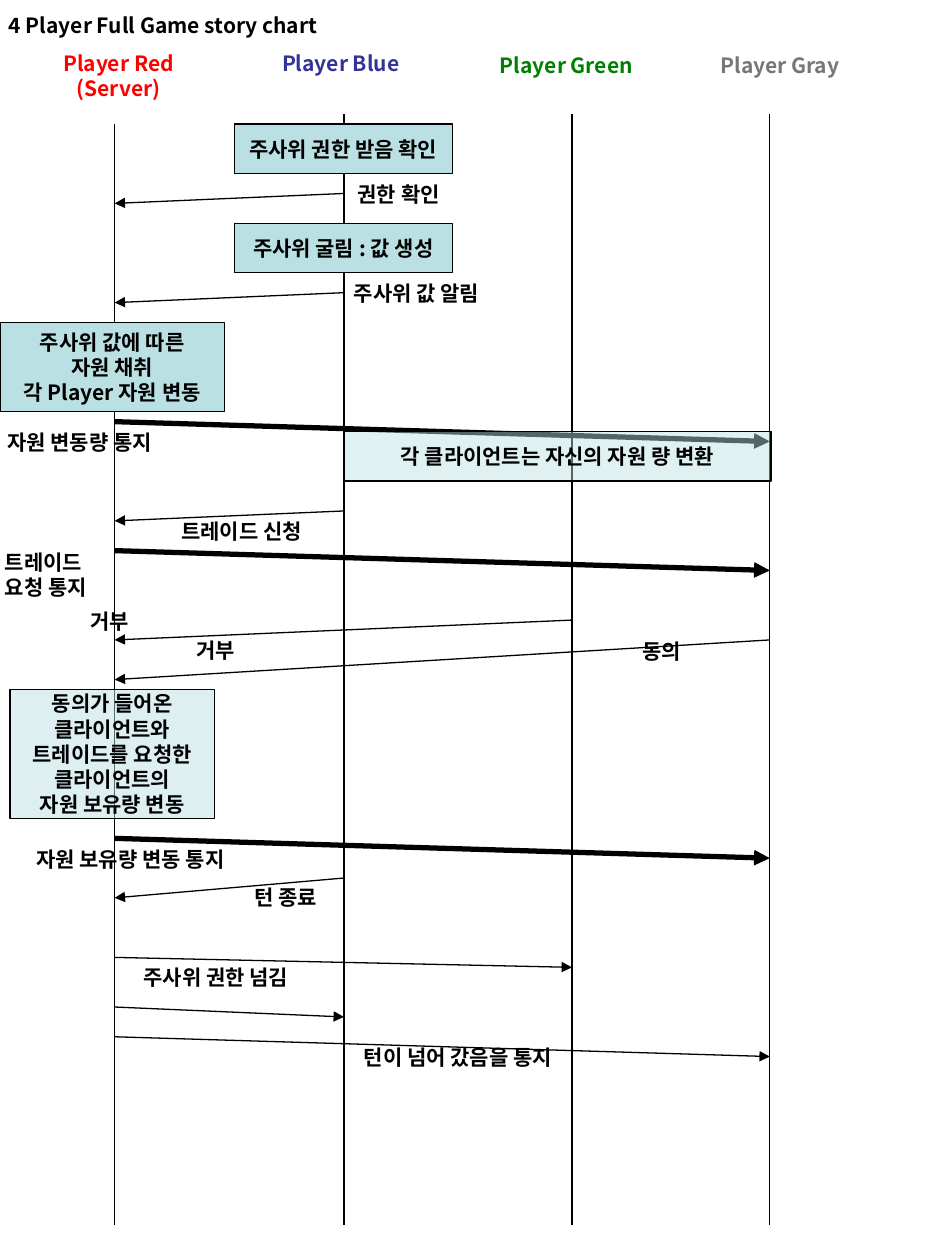
from lxml import etree
from pptx import Presentation
from pptx.dml.color import RGBColor
from pptx.enum.shapes import MSO_CONNECTOR, MSO_SHAPE
from pptx.enum.text import MSO_ANCHOR, MSO_AUTO_SIZE, PP_ALIGN
from pptx.oxml.ns import qn
from pptx.util import Inches, Pt

LEFT, CENTER = PP_ALIGN.LEFT, PP_ALIGN.CENTER
TOP, MIDDLE = MSO_ANCHOR.TOP, MSO_ANCHOR.MIDDLE
NO_FIT = MSO_AUTO_SIZE.NONE
STRAIGHT, RECT = MSO_CONNECTOR.STRAIGHT, MSO_SHAPE.RECTANGLE

COLORS = {"black": "000000", "red": "FF0000", "blue": "333399",
          "green": "008000", "gray": "777777", "box": "BBE0E3"}
FONT = "Noto Sans CJK KR"
WIDTH, HEIGHT = 7.5, 10
ROW = HEIGHT / 127
LINE_H = 0.2
THIN, THICK = 0.75, 3

TITLE = "4 Player Full Game story chart"
LANES = {"red": 0.91, "blue": 2.73, "green": 4.54, "gray": 6.11}
LIFELINE_START = {"red": 12, "blue": 11, "green": 11, "gray": 11}
LIFELINE_END = 123

# left, top, width, colour, align, lines
HEADERS = [
    (0.4, 0.35, 1.08, "red", CENTER, "Player Red\n(Server)"),
    (2.14, 0.35, 1.14, "blue", LEFT, "Player Blue"),
    (3.87, 0.37, 1.27, "green", LEFT, "Player Green"),
    (5.62, 0.37, 1.36, "gray", LEFT, "Player Gray"),
]

# sender, receiver, start row, end row, weight
MESSAGES = [
    ("blue", "red", 19, 20, THIN),
    ("blue", "red", 29, 30, THIN),
    ("red", "gray", 42, 44, THICK),
    ("blue", "red", 51, 52, THIN),
    ("red", "gray", 55, 57, THICK),
    ("green", "red", 62, 64, THIN),
    ("gray", "red", 64, 68, THIN),
    ("red", "gray", 84, 86, THICK),
    ("blue", "red", 88, 90, THIN),
    ("red", "green", 96, 97, THIN),
    ("red", "blue", 101, 102, THIN),
    ("red", "gray", 104, 106, THIN),
]

# left, width, top row, bottom row, opacity in percent, lines
BOXES = [
    (1.86, 1.73, 12, 17, 100, "주사위 권한 받음 확인"),
    (1.86, 1.73, 22, 27, 100, "주사위 굴림 : 값 생성"),
    (0, 1.78, 32, 41, 100, "주사위 값에 따른\n자원 채취\n각 Player 자원 변동"),
    (2.73, 3.39, 43, 48, 45, "각 클라이언트는 자신의 자원 량 변환"),
    (0.08, 1.62, 69, 82, 49,
     "동의가 들어온\n클라이언트와\n트레이드를 요청한\n클라이언트의\n자원 보유량 변동"),
]

# left, top, width, lines
LABELS = [
    (2.74, 1.39, 0.85, "권한 확인"),
    (2.71, 2.18, 1.19, "주사위 값 알림"),
    (-0.04, 3.36, 1.36, "자원 변동량 통지"),
    (1.34, 4.07, 1.16, "트레이드 신청"),
    (-0.06, 4.31, 0.85, "트레이드\n요청 통지"),
    (1.46, 5.01, 0.5, "거부"),
    (0.62, 4.78, 0.5, "거부"),
    (5, 5.02, 0.5, "동의"),
    (0.19, 6.67, 1.69, "자원 보유량 변동 통지"),
    (1.92, 6.97, 0.7, "턴 종료"),
    (1.04, 7.61, 1.35, "주사위 권한 넘김"),
    (2.79, 8.24, 1.69, "턴이 넘어 갔음을 통지"),
]


def rgb(name):
    return RGBColor.from_string(COLORS[name])


def row_y(row):
    return (row + 0.5) * ROW


def write(sp, text, color="black", align=LEFT, anchor=TOP, wrap=False):
    tf = sp.text_frame
    tf.text = text
    tf.auto_size = NO_FIT
    tf.word_wrap = wrap
    tf.vertical_anchor = anchor
    for p in tf.paragraphs:
        p.alignment = align
        for r in p.runs:
            r.font.size = Pt(12)
            r.font.bold = True
            r.font.name = FONT
            r.font.color.rgb = rgb(color)
            ea = etree.SubElement(r._r.get_or_add_rPr(), qn("a:ea"))
            ea.set("typeface", FONT)


def add_label(s, left, top, width, text, color="black", align=LEFT):
    height = 0.1 + LINE_H * len(text.split("\n"))
    sp = s.shapes.add_textbox(*map(Inches, (left, top, width, height)))
    write(sp, text, color, align)


def add_line(s, x1, y1, x2, y2, weight=THIN, arrow=False):
    cx = s.shapes.add_connector(STRAIGHT, *map(Inches, (x1, y1, x2, y2)))
    cx.line.color.rgb = rgb("black")
    cx.line.width = Pt(weight)
    if arrow:
        etree.SubElement(cx.line._get_or_add_ln(), qn("a:tailEnd")).set("type", "triangle")
    etree.SubElement(cx._element.spPr, qn("a:effectLst"))


def add_box(s, left, width, first, last, opacity, text):
    top, bottom = row_y(first), row_y(last)
    sp = s.shapes.add_shape(RECT, *map(Inches, (left, top, width, bottom - top)))
    sp.shadow.inherit = False
    sp.fill.solid()
    sp.fill.fore_color.rgb = rgb("box")
    if opacity < 100:
        clr = sp._element.spPr.find(qn("a:solidFill"))[0]
        etree.SubElement(clr, qn("a:alpha")).set("val", str(opacity * 1000))
    sp.line.color.rgb = rgb("black")
    sp.line.width = Pt(THIN)
    write(sp, text, align=CENTER, anchor=MIDDLE)


def main():
    prs = Presentation()
    prs.slide_width, prs.slide_height = Inches(WIDTH), Inches(HEIGHT)
    s = prs.slides.add_slide(prs.slide_layouts[5])

    title = s.shapes.title
    title.left, title.top, title.width, title.height = map(Inches, (-0.03, 0.05, 2.86, 0.3))
    write(title, TITLE, wrap=True)

    for left, top, width, color, align, text in HEADERS:
        add_label(s, left, top, width, text, color, align)
    for lane, x in LANES.items():
        add_line(s, x, row_y(LIFELINE_START[lane]), x, row_y(LIFELINE_END))
    for sender, receiver, start, end, weight in MESSAGES:
        add_line(s, LANES[sender], row_y(start), LANES[receiver], row_y(end), weight, True)
    for box in BOXES:
        add_box(s, *box)
    for label in LABELS:
        add_label(s, *label)

    prs.save("out.pptx")


if __name__ == "__main__":
    main()
